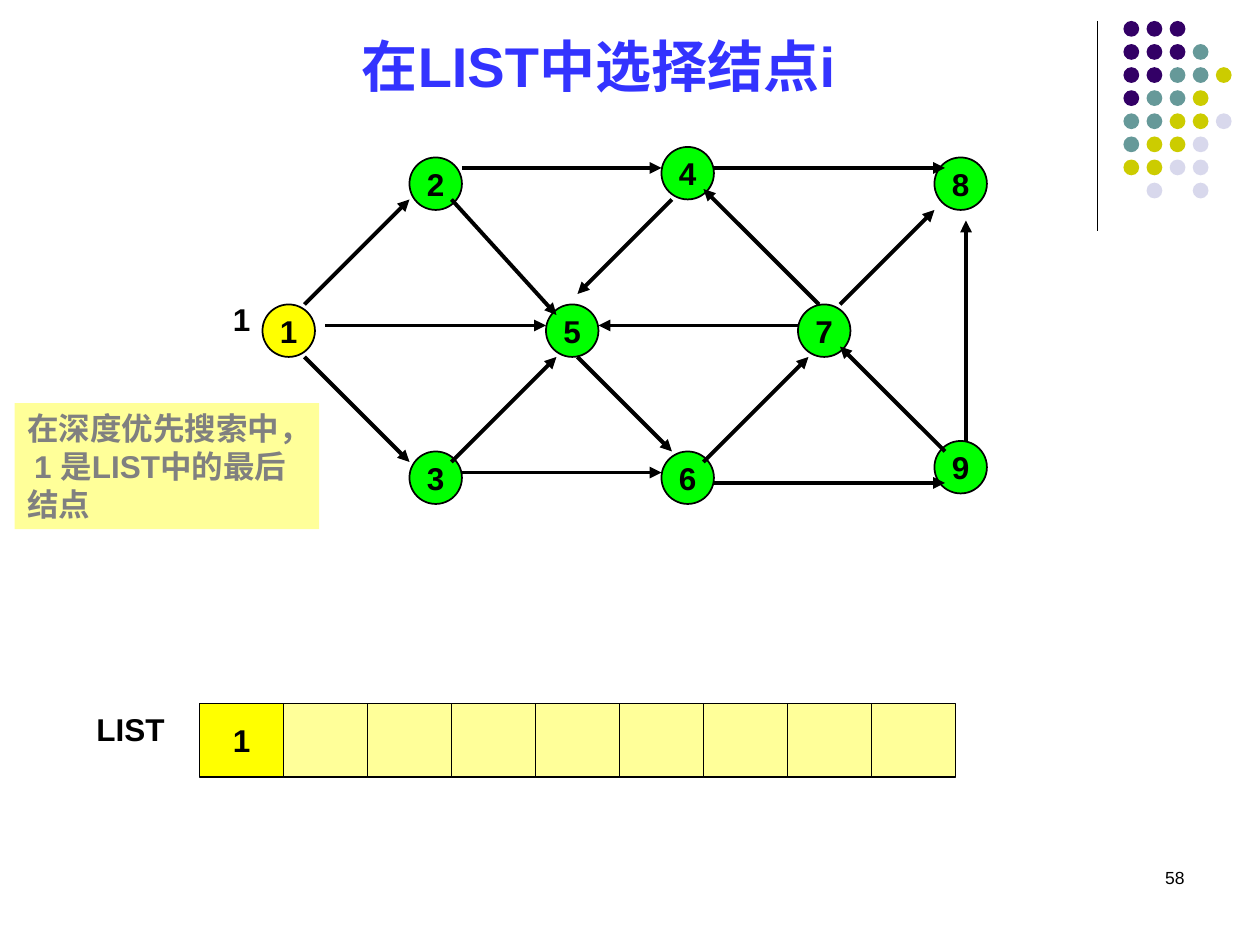
"""Build the slide that picks node i from LIST in a depth-first search."""
from dataclasses import dataclass

from lxml import etree
from pptx import Presentation
from pptx.dml.color import RGBColor
from pptx.enum.shapes import MSO_CONNECTOR, MSO_SHAPE
from pptx.enum.text import MSO_ANCHOR, MSO_AUTO_SIZE, PP_ALIGN
from pptx.oxml.ns import qn
from pptx.util import Pt

OVAL, RECT = MSO_SHAPE.OVAL, MSO_SHAPE.RECTANGLE
STRAIGHT = MSO_CONNECTOR.STRAIGHT
LEFT, CENTER, RIGHT = PP_ALIGN.LEFT, PP_ALIGN.CENTER, PP_ALIGN.RIGHT
TOP, MIDDLE, BOTTOM = MSO_ANCHOR.TOP, MSO_ANCHOR.MIDDLE, MSO_ANCHOR.BOTTOM
FIXED = MSO_AUTO_SIZE.NONE
PX = 7620


@dataclass
class Theme:
    font: str = "Arial"
    ink: str = "000000"
    title: str = "3333FF"
    muted: str = "808080"
    node: str = "00FF00"
    active: str = "FFFF00"
    pale: str = "FFFF99"
    plum: str = "330066"
    teal: str = "669999"
    olive: str = "CCCC00"
    mist: str = "D8D8EC"
    large: int = 32
    normal: int = 18
    small: int = 10
    thin: float = 0.75
    edge: int = 1
    arrow: float = 2.25


theme = Theme()


def write(shape, text, size=theme.normal, color=theme.ink, align=CENTER,
          anchor=MIDDLE, bold=True, wrap=True):
    frame = shape.text_frame
    frame.auto_size = FIXED
    frame.word_wrap = wrap
    frame.vertical_anchor = anchor
    line = frame.paragraphs[0]
    line.alignment = align
    run = line.add_run()
    run.text = text
    run.font.name = theme.font
    run.font.size = Pt(size)
    run.font.bold = bold
    run.font.color.rgb = RGBColor.from_string(color)


def draw(kind, x, y, wide, high, fill, edge=None):
    shape = shapes.add_shape(kind, x * PX, y * PX, wide * PX, high * PX)
    shape.shadow.inherit = False
    shape.fill.solid()
    shape.fill.fore_color.rgb = RGBColor.from_string(fill)
    if edge:
        shape.line.color.rgb = RGBColor.from_string(theme.ink)
        shape.line.width = Pt(edge)
    else:
        shape.line.fill.background()
    return shape


deck = Presentation()
deck.slide_width, deck.slide_height = 1200 * PX, 900 * PX
slide = deck.slides.add_slide(deck.slide_layouts[5])
shapes = slide.shapes

title = shapes.title
title.left, title.top, title.width, title.height = 60 * PX, 30 * PX, 1020 * PX, 70 * PX
write(title, "在LIST中选择结点i", theme.large, theme.title, anchor=BOTTOM)

hues = {"p": theme.plum, "t": theme.teal, "o": theme.olive, "m": theme.mist}
dots = ["ppp", "pppt", "pptto", "ptto", "ttoom", "toom", "oomm", ".m.m"]
for row, marks in enumerate(dots):
    for col, mark in enumerate(marks):
        if mark in hues:
            draw(OVAL, 1070 + 22 * col, 20 + 22 * row, 15, 15, hues[mark])

note = draw(RECT, 14, 384, 290, 120, theme.pale)
write(note, "在深度优先搜索中， 1 是LIST中的最后结点", color=theme.muted,
      align=LEFT, anchor=TOP)

nodes = {
    "2": (390, 150), "4": (630, 140), "5": (520, 290), "3": (390, 430),
    "6": (630, 430), "9": (890, 420), "7": (760, 290), "8": (890, 150),
    "1": (250, 290),
}
for name, (x, y) in nodes.items():
    fill = theme.active if name == "1" else theme.node
    write(draw(OVAL, x, y, 50, 50, fill, theme.edge), name, wrap=False)

links = [
    (290, 290, 390, 190), (290, 340, 390, 440), (310, 310, 520, 310),
    (440, 160, 630, 160), (430, 190, 530, 300), (430, 440, 530, 340),
    (440, 450, 630, 450), (680, 160, 900, 160), (640, 190, 550, 280),
    (550, 340, 640, 430), (670, 440, 770, 340), (680, 460, 900, 460),
    (780, 290, 670, 180), (760, 310, 570, 310), (800, 290, 890, 200),
    (900, 430, 800, 330), (920, 420, 920, 210),
]
rule = (1045, 20, 1045, 220)
for ends in [rule, *links]:
    line = shapes.add_connector(STRAIGHT, *(end * PX for end in ends))
    line.line.color.rgb = RGBColor.from_string(theme.ink)
    line.line.width = Pt(theme.thin if ends == rule else theme.arrow)
    if ends != rule:
        etree.SubElement(line.line._get_or_add_ln(), qn("a:tailEnd"), type="triangle")
    etree.SubElement(line._element.spPr, qn("a:effectLst"))

for slot in range(9):
    fill = theme.pale if slot else theme.active
    cell = draw(RECT, 190 + 80 * slot, 670, 80, 70, fill, theme.edge)
    if slot == 0:
        write(cell, "1", wrap=False)

labels = [
    ("LIST", 80, 670, 95, 48, theme.normal, LEFT, True),
    ("1", 210, 280, 40, 48, theme.normal, LEFT, True),
    ("58", 860, 820, 280, 60, theme.small, RIGHT, False),
]
for text, x, y, wide, high, size, align, bold in labels:
    label = shapes.add_textbox(x * PX, y * PX, wide * PX, high * PX)
    write(label, text, size, align=align, anchor=TOP, bold=bold)

deck.save("out.pptx")
